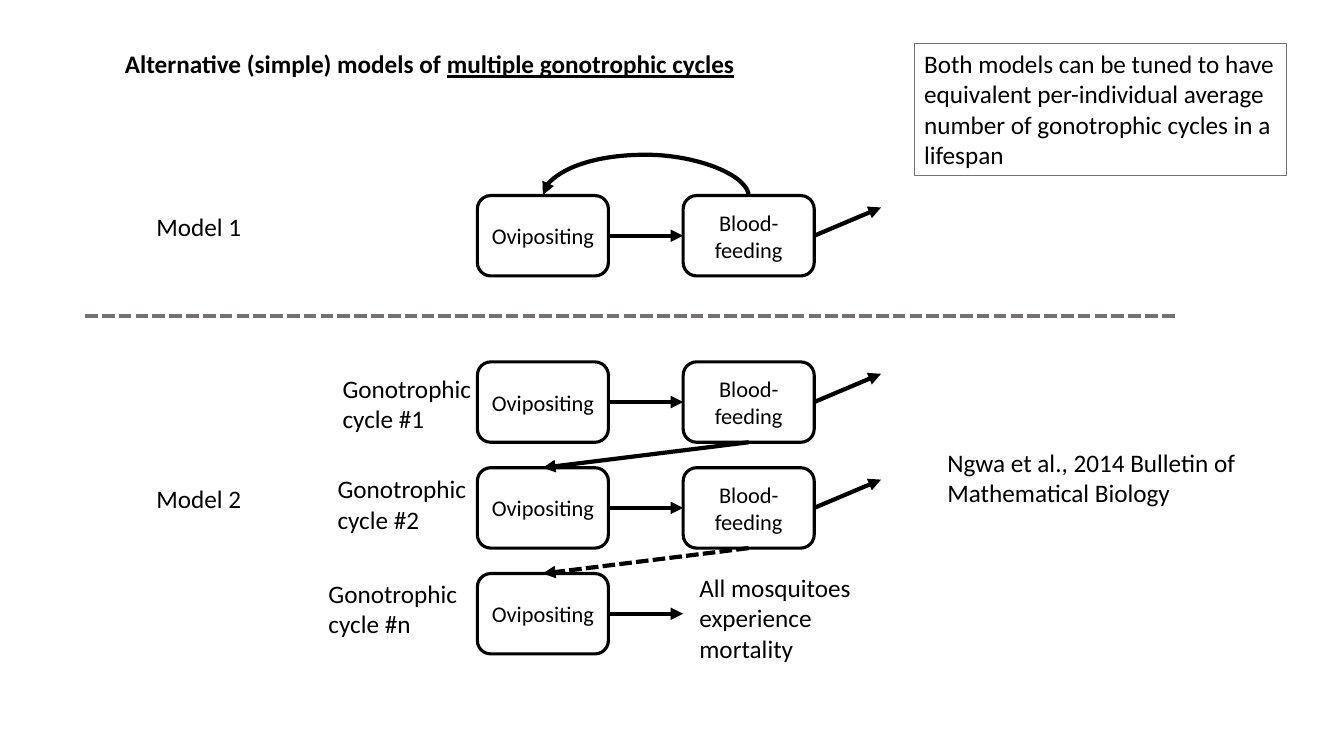
from lxml import etree
from pptx import Presentation
from pptx import util as u
from pptx.dml.color import RGBColor
from pptx.enum import dml, shapes, text
from pptx.oxml import ns

BLACK, GREY = "000000", "767171"
STAGE_W, STAGE_H = 93.6, 57.4
OVIPOSIT_X, FEED_X = 341, 488
MODEL_1_Y, MODEL_2_Y, CYCLE_STEP = 139.7, 258.5, 75.6
TOP, LEFT, BOTTOM, RIGHT = range(4)  # connection sites of a stage


def rgb(value):
    return RGBColor.from_string(value)


def apply(target, values):
    for name, value in values.items():
        setattr(target, name, value)


def add_run(paragraph, words, size=18, **font_values):
    run = paragraph.add_run()
    run.text = words
    apply(run.font, {"name": "Calibri", "size": u.Pt(size), **font_values})
    run.font.color.rgb = rgb(BLACK)


def add_label(slide, words, x, y, w, h, wrap=True):
    label = slide.shapes.add_textbox(*map(u.Pt, (x, y, w, h)))
    apply(label.text_frame, {"word_wrap": wrap,
                             "auto_size": text.MSO_AUTO_SIZE.SHAPE_TO_FIT_TEXT})
    add_run(label.text_frame.paragraphs[0], words)
    return label


def add_stage(slide, words, x, y):
    stage = slide.shapes.add_shape(shapes.MSO_SHAPE.ROUNDED_RECTANGLE,
                                   *map(u.Pt, (x, y, STAGE_W, STAGE_H)))
    stage.shadow.inherit = False
    stage.fill.background()
    stage.line.color.rgb = rgb(BLACK)
    stage.line.width = u.Pt(2.25)
    apply(stage.text_frame, {"word_wrap": True,
                             "vertical_anchor": text.MSO_ANCHOR.MIDDLE})
    paragraph = stage.text_frame.paragraphs[0]
    paragraph.alignment = text.PP_ALIGN.CENTER
    add_run(paragraph, words, 16)
    return stage


def add_line(slide, start, end, color=BLACK, dashed=False, arrow=True,
             kind=shapes.MSO_CONNECTOR.STRAIGHT):
    line = slide.shapes.add_connector(kind, *map(u.Pt, start + end))
    line.line.color.rgb = rgb(color)
    line.line.width = u.Pt(3)
    if dashed:
        line.line.dash_style = dml.MSO_LINE.SQUARE_DOT
    if arrow:
        etree.SubElement(line.line._get_or_add_ln(), ns.qn("a:tailEnd"), type="triangle")
    etree.SubElement(line._element.spPr, ns.qn("a:effectLst"))
    return line


def join(slide, source, source_site, target, target_site, dashed=False):
    arrow = add_line(slide, (0, 0), (0, 0), dashed=dashed)
    arrow.begin_connect(source, source_site)
    arrow.end_connect(target, target_site)


def add_cycle(slide, y):
    """Ovipositing, blood-feeding and the mortality arrow of one cycle."""
    ovipositing = add_stage(slide, "Ovipositing", OVIPOSIT_X, y)
    feeding = add_stage(slide, "Blood-feeding", FEED_X, y)
    join(slide, ovipositing, RIGHT, feeding, LEFT)
    middle, exit_x = y + STAGE_H / 2, FEED_X + STAGE_W
    add_line(slide, (exit_x, middle), (exit_x + 47.7, middle - 20.2))
    return ovipositing, feeding


def add_return_curve(slide):
    """Turned a quarter so that the arc rises above the two stages."""
    span = FEED_X - OVIPOSIT_X
    middle_x = (OVIPOSIT_X + FEED_X + STAGE_W) / 2
    top = MODEL_1_Y - span / 2
    curve = add_line(slide, (middle_x - 0.5, top), (middle_x + 0.5, top + span),
                     kind=shapes.MSO_CONNECTOR.CURVE)
    properties = curve._element.spPr
    frame = properties.find(ns.qn("a:xfrm"))
    frame.set("rot", "16200000")
    frame.set("flipV", "1")
    geometry = properties.find(ns.qn("a:prstGeom"))
    guides = geometry.find(ns.qn("a:avLst"))
    if guides is None:
        guides = etree.SubElement(geometry, ns.qn("a:avLst"))
    etree.SubElement(guides, ns.qn("a:gd"), name="adj1", fmla="val 2991000")


def add_title(slide):
    title = slide.shapes.title
    apply(title, {"left": u.Pt(82), "top": u.Pt(31),
                  "width": u.Pt(453), "height": u.Pt(29)})
    apply(title.text_frame, {"word_wrap": False,
                             "vertical_anchor": text.MSO_ANCHOR.TOP,
                             "auto_size": text.MSO_AUTO_SIZE.SHAPE_TO_FIT_TEXT})
    paragraph = title.text_frame.paragraphs[0]
    paragraph.alignment = text.PP_ALIGN.LEFT
    add_run(paragraph, "Alternative (simple) models of ", bold=True)
    add_run(paragraph, "multiple gonotrophic cycles", bold=True, underline=True)


def main():
    deck = Presentation()
    apply(deck, {"slide_width": u.Pt(960), "slide_height": u.Pt(540)})
    slide = deck.slides.add_slide(deck.slide_layouts[5])
    add_title(slide)

    # Model 1: one loop
    add_label(slide, "Model 1", 104.6, 147.6, 75.6, 29, wrap=False)
    add_cycle(slide, MODEL_1_Y)
    add_return_curve(slide)

    # Divider between the models
    add_line(slide, (839, 225.5), (61, 225.5), GREY, dashed=True, arrow=False)

    # Model 2: a chain of cycles
    add_label(slide, "Model 2", 104.6, 342, 75.6, 29, wrap=False)
    for number, x, y in (("1", 237.6, 262.8), ("2", 234, 334.8), ("n", 227.5, 409.7)):
        add_label(slide, f"Gonotrophic cycle #{number}", x, y, 107.3, 51)
    first_oviposit, first_feed = add_cycle(slide, MODEL_2_Y)
    second_oviposit, second_feed = add_cycle(slide, MODEL_2_Y + CYCLE_STEP)
    last_y = MODEL_2_Y + 2 * CYCLE_STEP
    last_oviposit = add_stage(slide, "Ovipositing", OVIPOSIT_X, last_y)
    join(slide, first_feed, BOTTOM, second_oviposit, TOP)
    join(slide, second_feed, BOTTOM, last_oviposit, TOP, dashed=True)
    last_middle = last_y + STAGE_H / 2
    add_line(slide, (OVIPOSIT_X + STAGE_W, last_middle), (FEED_X, last_middle))
    add_label(slide, "All mosquitoes experience mortality", 492.5, 405.4, 160.6, 72.7)

    # Remark and reference
    remark = add_label(slide, "Both models can be tuned to have equivalent per-individual "
                       "average number of gonotrophic cycles in a lifespan",
                       653, 31, 265.7, 94.3)
    remark.line.color.rgb = rgb(GREY)
    remark.line.width = u.Pt(0.75)
    add_label(slide, "Ngwa et al., 2014 Bulletin of Mathematical Biology",
              669.6, 316, 265.7, 51)
    deck.save("out.pptx")


main()
